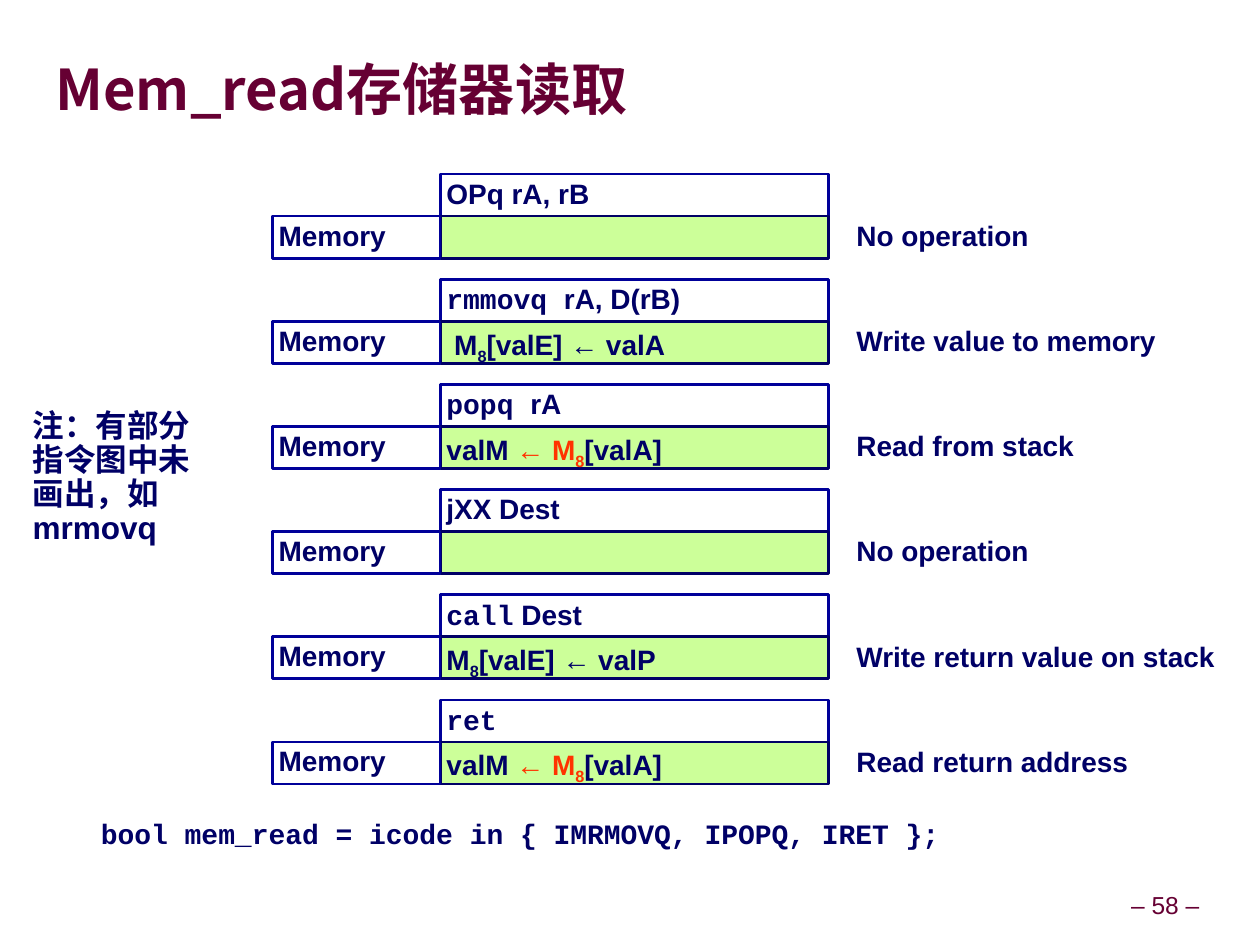
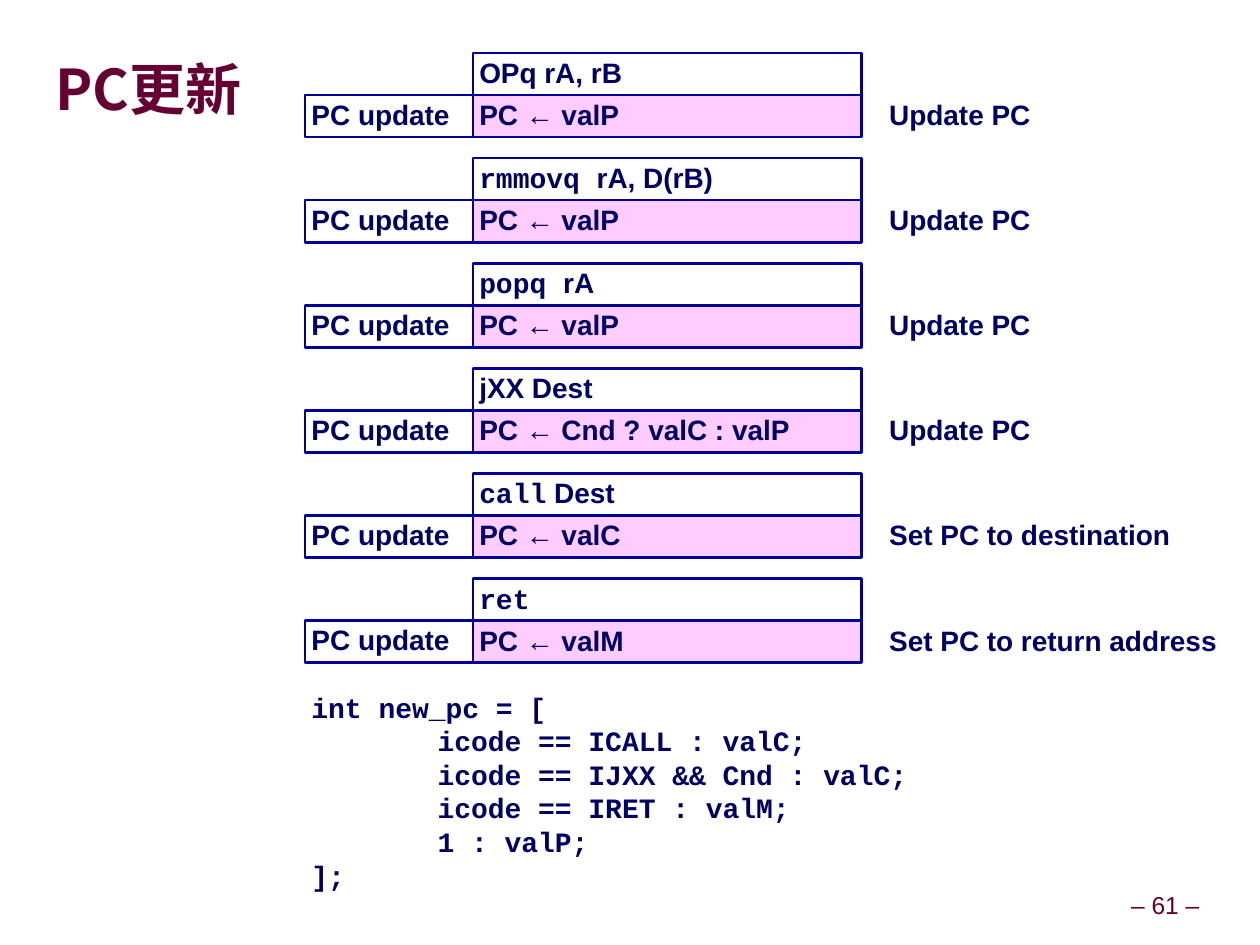
from dataclasses import dataclass

from pptx import Presentation
from pptx.dml.color import RGBColor as RGB
from pptx.enum.shapes import MSO_SHAPE as Shape
from pptx.enum.text import MSO_ANCHOR as Anchor, MSO_AUTO_SIZE as Auto, PP_ALIGN as Align
from pptx.oxml.ns import qn
from pptx.util import Inches, Pt


# Colours, fonts and type sizes
@dataclass(frozen=True)
class Theme:
    ink: str = "000066"
    edge: str = "000099"
    wine: str = "660033"
    hot: str = "FF3300"
    green: str = "CCFF99"
    pink: str = "FFCCFF"
    sans: str = "Arial"
    mono: str = "Courier New"
    cjk: str = "Noto Sans CJK SC"
    head: int = 32
    note: int = 18
    text: int = 16
    foot: int = 14


# Grid of instruction blocks, in inches
ROW = 1 / 3
PITCH = 5 / 6
STAGE_W = 1.33
CELL_W = 3.08
GAP = 0.17


class Deck:
    def __init__(self, theme):
        self.theme = theme
        self.prs = Presentation()
        self.prs.slide_width = Inches(9.99)
        self.prs.slide_height = Inches(7.49)
        self.slide = None

    def page(self, title, number):
        t = self.theme
        self.slide = self.prs.slides.add_slide(self.prs.slide_layouts[5])
        head = self.slide.shapes.title
        self.place(head, 0.44, 0.27, 9.13, 0.85)
        self.fill_text(head, [title], pad=0, anchor=Anchor.MIDDLE, space=1.0,
                       font=t.cjk, size=t.head, color=t.wine)
        self.label(f"– {number} –", 8.91, 7.03, 0.66, 0.31, wrap=False,
                   anchor=Anchor.MIDDLE, align=Align.CENTER,
                   size=t.foot, color=t.wine, bold=False)

    def place(self, shape, *box):
        for name, value in zip(("left", "top", "width", "height"), box):
            setattr(shape, name, Inches(value))

    def fill_text(self, shape, lines, pad=0.05, wrap=True, anchor=Anchor.TOP,
                  align=Align.LEFT, space=0.9, **style):
        frame = shape.text_frame
        form = dict(word_wrap=wrap, auto_size=Auto.NONE, vertical_anchor=anchor)
        for side in ("left", "top", "right", "bottom"):
            form[f"margin_{side}"] = Inches(pad)
        for name, value in form.items():
            setattr(frame, name, value)
        for i, line in enumerate(lines):
            para = frame.paragraphs[0] if i == 0 else frame.add_paragraph()
            para.alignment = align
            para.line_spacing = space
            runs = [(line, {})] if isinstance(line, str) else line
            for text, extra in runs:
                self.add_text(para, text, **{**style, **extra})
        return frame

    def add_text(self, para, text, font=None, size=None, color=None, bold=True, base=0):
        t = self.theme
        run = para.add_run()
        run.text = text
        form = dict(name=font or t.sans, size=Pt(size or t.text), bold=bold)
        for name, value in form.items():
            setattr(run.font, name, value)
        run.font.color.rgb = RGB.from_string(color or t.ink)
        props = run._r.get_or_add_rPr()
        east = props.makeelement(qn("a:ea"), {"typeface": t.cjk})
        props.find(qn("a:latin")).addnext(east)
        if base:
            props.set("baseline", str(base * 1000))

    def label(self, line, x, y, w, h, **style):
        box = self.slide.shapes.add_textbox(*map(Inches, (x, y, w, h)))
        return self.fill_text(box, [line], **style)

    def cell(self, line, x, y, w, fill=None, edge=None, **style):
        box = self.slide.shapes.add_shape(
            Shape.RECTANGLE, *map(Inches, (x, y, w, ROW)))
        box.shadow.inherit = False
        if fill:
            box.fill.solid()
            box.fill.fore_color.rgb = RGB.from_string(fill)
        else:
            box.fill.background()
        box.line.color.rgb = RGB.from_string(edge or self.theme.edge)
        box.line.width = Pt(1.5)
        if line:
            self.fill_text(box, [line], **style)

    def blocks(self, x, y, stage, steps, fill, edge):
        mid = x + STAGE_W
        for i, (order, (step, note)) in enumerate(zip(ORDERS, steps)):
            top = y + i * PITCH
            low = top + ROW
            self.cell(order, mid, top, CELL_W)
            self.cell(step, mid, low, CELL_W, fill, edge)
            self.cell(stage, x, low, STAGE_W, anchor=Anchor.MIDDLE)
            self.label(note, mid + CELL_W + GAP, low, CELL_W, ROW)

    def code(self, lines, x, y, w, h, inner=0):
        box = self.slide.shapes.add_textbox(*map(Inches, (x, y, w, h)))
        frame = self.fill_text(box, lines, space=1.0, font=self.theme.mono)
        for para in frame.paragraphs[1:-1]:
            para._p.get_or_add_pPr().set("marL", str(Inches(inner)))


theme = Theme()
deck = Deck(theme)

# Run styles and the instructions that both slides list
MONO = dict(font=theme.mono)
SUB = dict(base=-25)
HOT = dict(color=theme.hot)
ORDERS = [
    "OPq rA, rB",
    [("rmmovq ", MONO), ("rA, D(rB)", {})],
    [("popq ", MONO), ("rA", {})],
    "jXX Dest",
    [("call", MONO), (" Dest", {})],
    [("ret", MONO)],
]

# Memory read
fetch = [("valM ", {}), ("← M", HOT), ("8", {**HOT, **SUB}), ("[valA]", {})]
deck.page("Mem_read存储器读取", 58)
deck.blocks(2.16, 1.38, "Memory", [
    (None, "No operation"),
    ([(" M", {}), ("8", SUB), ("[valE] ← valA", {})], "Write value to memory"),
    (fetch, "Read from stack"),
    (None, "No operation"),
    ([("M", {}), ("8", SUB), ("[valE] ← valP", {})], "Write return value on stack"),
    (fetch, "Read return address"),
], theme.green, theme.ink)
deck.code(["bool mem_read = icode in { IMRMOVQ, IPOPQ, IRET };"],
          0.75, 6.42, 8.75, 0.37)
deck.label("注：有部分指令图中未画出，如mrmovq", 0.16, 3.15, 1.67, 1.19,
           pad=0.1, size=theme.note)

# PC update
deck.page("PC更新", 61)
deck.blocks(2.42, 0.42, "PC update", [
    ("PC ← valP", "Update PC"),
    ("PC ← valP", "Update PC"),
    ("PC ← valP", "Update PC"),
    ("PC ← Cnd ? valC : valP", "Update PC"),
    ("PC ← valC", "Set PC to destination"),
    ("PC ← valM", "Set PC to return address"),
], theme.pink, theme.edge)
deck.code([
    "int new_pc = [",
    "icode == ICALL : valC;",
    "icode == IJXX && Cnd : valC;",
    "icode == IRET : valM;",
    "1 : valP;",
    "];",
], 2.42, 5.42, 5.83, 1.7, inner=1)

deck.prs.save("out.pptx")
